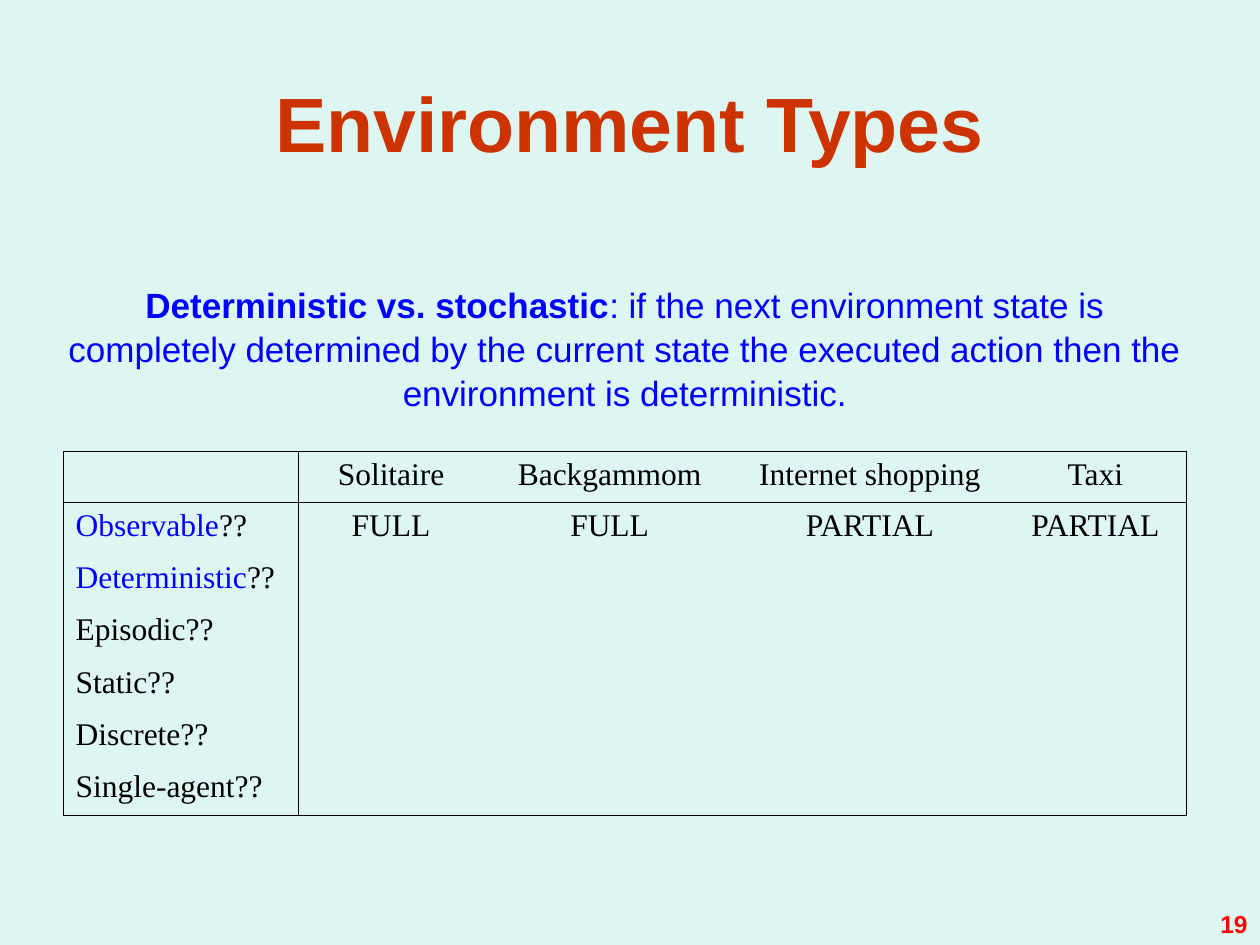
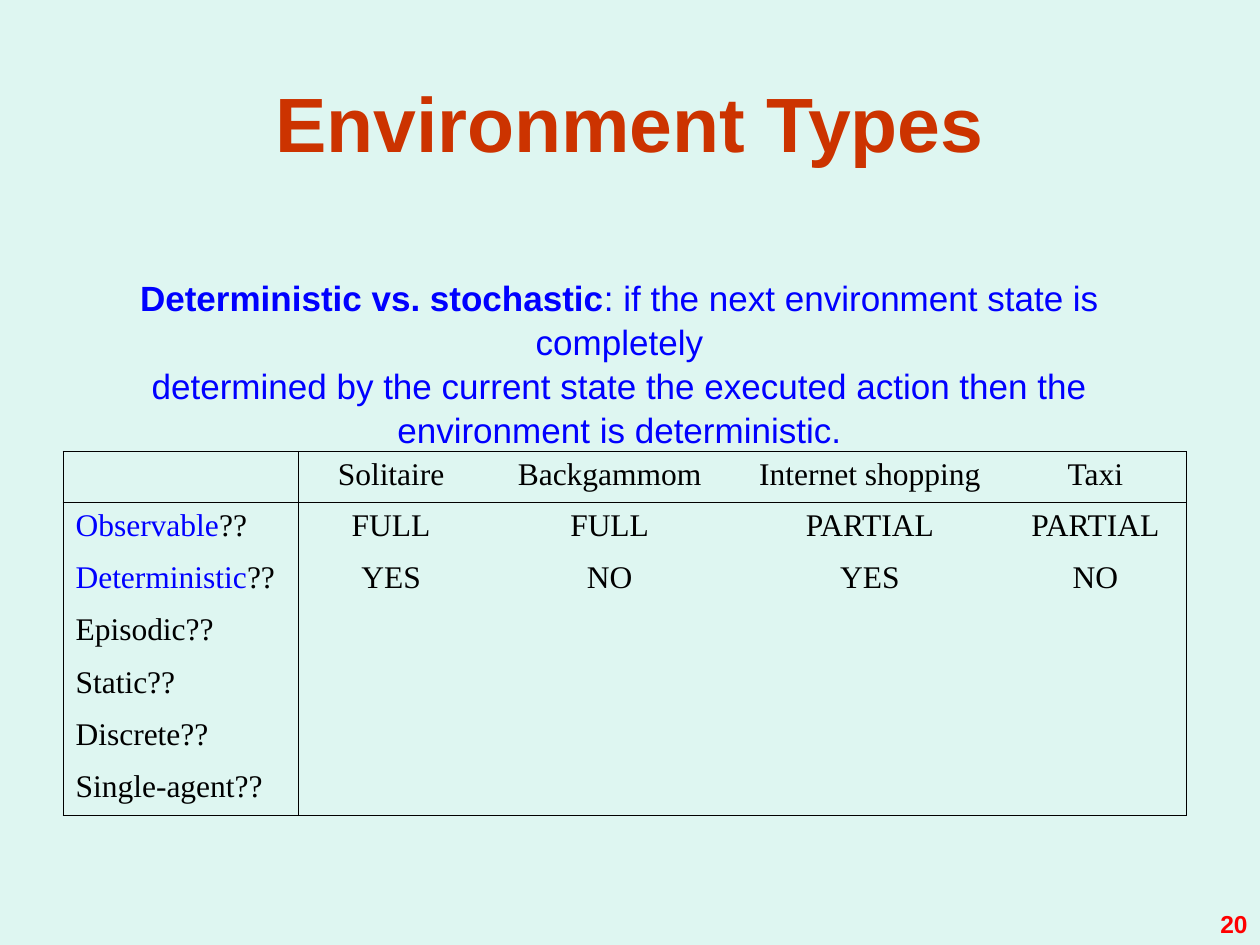
from lxml import etree
from pptx import Presentation
from pptx.dml.color import RGBColor
from pptx.enum.text import MSO_ANCHOR, PP_ALIGN
from pptx.oxml.ns import qn
from pptx.util import Pt

LEFT, CENTER, RIGHT = PP_ALIGN.LEFT, PP_ALIGN.CENTER, PP_ALIGN.RIGHT
TOP, MIDDLE, BOTTOM = MSO_ANCHOR.TOP, MSO_ANCHOR.MIDDLE, MSO_ANCHOR.BOTTOM

BACKGROUND, RUST, BLUE, BLACK, RED = "DEF6F1", "CC3300", "0000FF", "000000", "FF0000"
TITLE = {"name": "Arial", "size": Pt(44), "bold": True, "color": RUST}
DEFINITION = {"name": "Arial", "size": Pt(20), "bold": False, "color": BLUE}
TERM = {**DEFINITION, "bold": True}
ENTRY = {"name": "Times New Roman", "size": Pt(18), "bold": False, "color": BLACK}
COVERED = {**ENTRY, "color": BLUE}
PAGE = {"name": "Arial", "size": Pt(14), "bold": True, "color": RED}

COLUMN_WIDTHS = (134.6, 105.8, 144, 153.4, 104.4)
ROW_HEIGHTS = (29.2,) + (29.8,) * 6
GAMES = ("Solitaire", "Backgammom", "Internet shopping", "Taxi")
PROPERTIES = ("Observable", "Deterministic", "Episodic", "Static", "Discrete", "Single-agent")
COVERED_COUNT = 2
OBSERVABLE = ("FULL", "FULL", "PARTIAL", "PARTIAL")
DETERMINISTIC = ("YES", "NO", "YES", "NO")

TERM_RUN = ("Deterministic vs. stochastic", TERM)
OPENING = ": if the next environment state is completely"
ENDING = ("determined by the current state the executed action "
          "then the environment is deterministic.")
SLIDES = (
    {"page": "19", "answers": (OBSERVABLE,),
     "box": (36, 157, 642.2, 79.2), "inset": 3.6,
     "definition": [[TERM_RUN, (f"{OPENING} {ENDING}", DEFINITION)]]},
    {"page": "20", "answers": (OBSERVABLE, DETERMINISTIC),
     "box": (30.5, 156.2, 647, 97.2), "inset": 0.7,
     "definition": [[TERM_RUN, (OPENING, DEFINITION)], [(ENDING, DEFINITION)]]},
)


def rgb(value):
    return RGBColor.from_string(value)


class Deck:
    def __init__(self):
        self.presentation = Presentation()
        self.presentation.slide_width = Pt(720)
        self.presentation.slide_height = Pt(540)
        fill = self.presentation.slide_master.background.fill
        fill.solid()
        fill.fore_color.rgb = rgb(BACKGROUND)
        self.slide = None

    def new_slide(self):
        self.slide = self.presentation.slides.add_slide(self.presentation.slide_layouts[5])

    def set_text(self, frame, paragraphs, align, spacing=1.0):
        for index, runs in enumerate(paragraphs):
            paragraph = frame.add_paragraph() if index else frame.paragraphs[0]
            paragraph.alignment = align
            paragraph.line_spacing = spacing
            for text, style in runs:
                run = paragraph.add_run()
                run.text = text
                for key, value in style.items():
                    if key == "color":
                        run.font.color.rgb = rgb(value)
                    else:
                        setattr(run.font, key, value)

    def format_frame(self, frame, anchor, left, top, right, bottom):
        layout = {"word_wrap": True, "vertical_anchor": anchor,
                  "margin_left": Pt(left), "margin_top": Pt(top),
                  "margin_right": Pt(right), "margin_bottom": Pt(bottom)}
        for key, value in layout.items():
            setattr(frame, key, value)

    def title(self, text):
        heading = self.slide.shapes.title
        place = {"left": Pt(36), "top": Pt(21.6), "width": Pt(648), "height": Pt(90)}
        for key, value in place.items():
            setattr(heading, key, value)
        self.format_frame(heading.text_frame, MIDDLE, 7.2, 9, 7.2, 3.6)
        self.set_text(heading.text_frame, [[(text, TITLE)]], CENTER)

    def textbox(self, box, paragraphs, align, anchor, insets, spacing=1.0):
        frame = self.slide.shapes.add_textbox(*map(Pt, box)).text_frame
        self.format_frame(frame, anchor, *insets)
        self.set_text(frame, paragraphs, align, spacing)

    def borders(self, cell, edges):
        properties = cell._tc.get_or_add_tcPr()
        for tag, visible in edges.items():
            line = etree.SubElement(properties, qn(f"a:{tag}"), w=str(Pt(0.45)))
            if visible:
                solid = etree.SubElement(line, qn("a:solidFill"))
                etree.SubElement(solid, qn("a:srgbClr"), val=BLACK)
            else:
                etree.SubElement(line, qn("a:noFill"))

    def comparison(self, answers):
        grid = self.slide.shapes.add_table(
            len(ROW_HEIGHTS), len(COLUMN_WIDTHS), Pt(36), Pt(257.8),
            Pt(sum(COLUMN_WIDTHS)), Pt(sum(ROW_HEIGHTS))).table
        grid.first_row = grid.horz_banding = False
        for column, width in zip(grid.columns, COLUMN_WIDTHS):
            column.width = Pt(width)
        for row, height in zip(grid.rows, ROW_HEIGHTS):
            row.height = Pt(height)
        ruled_rows = (0, 1, len(ROW_HEIGHTS))
        ruled_columns = (0, 1, len(COLUMN_WIDTHS))
        for r in range(len(ROW_HEIGHTS)):
            for c in range(len(COLUMN_WIDTHS)):
                cell = grid.cell(r, c)
                self.borders(cell, {"lnL": c in ruled_columns, "lnR": c + 1 in ruled_columns,
                                    "lnT": r in ruled_rows, "lnB": r + 1 in ruled_rows})
                cell.fill.background()
        for r, name in enumerate(PROPERTIES, 1):
            style = COVERED if r <= COVERED_COUNT else ENTRY
            self.set_text(grid.cell(r, 0).text_frame, [[(name, style), ("??", ENTRY)]], LEFT)
        for r, values in enumerate((GAMES, *answers)):
            for c, value in enumerate(values, 1):
                self.set_text(grid.cell(r, c).text_frame, [[(value, ENTRY)]], CENTER)

    def page_number(self, number):
        self.textbox((552.2, 502.6, 167.8, 37.4), [[(number, PAGE)]],
                     RIGHT, BOTTOM, (7.2, 3.6, 7.2, 3.6))


def main():
    deck = Deck()
    for content in SLIDES:
        deck.new_slide()
        deck.title("Environment Types")
        deck.comparison(content["answers"])
        inset = content["inset"]
        deck.textbox(content["box"], content["definition"], CENTER, TOP,
                     (0, inset, 0, inset), 1.05)
        deck.page_number(content["page"])
    deck.presentation.save("out.pptx")


if __name__ == "__main__":
    main()
